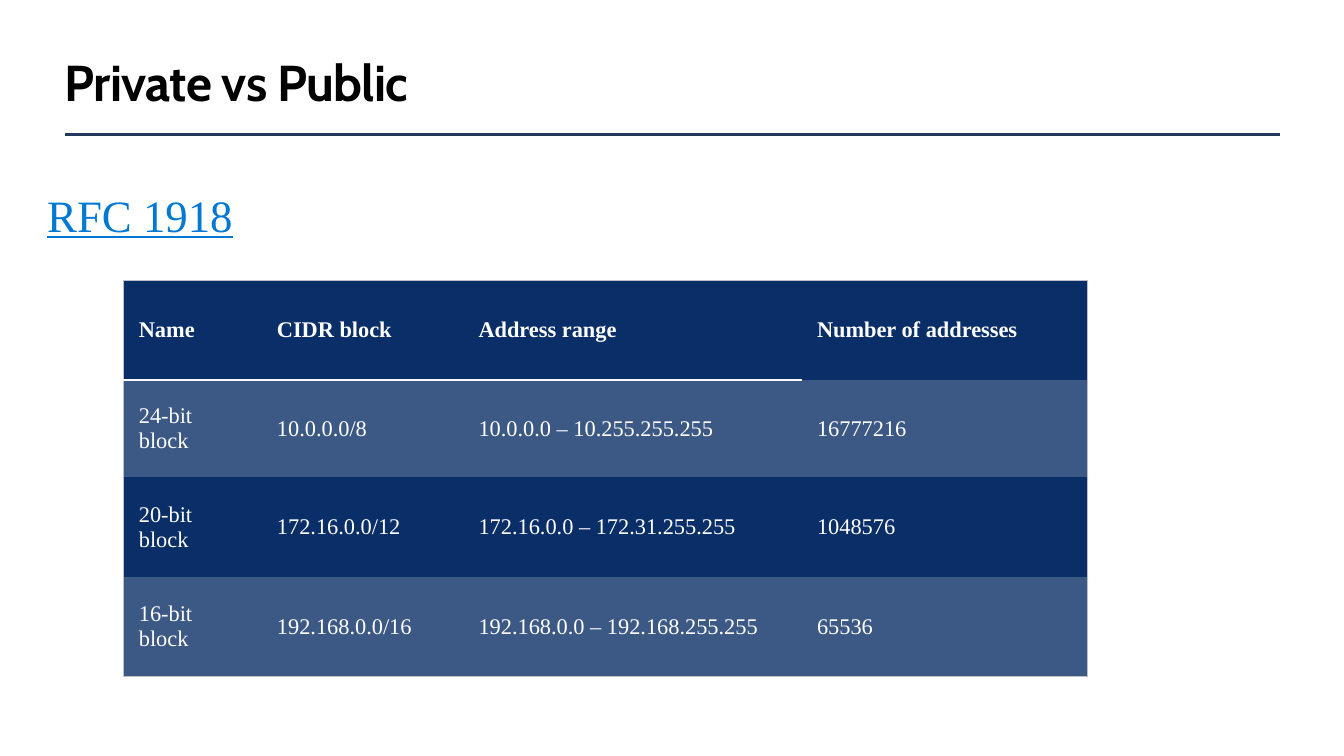
from lxml import etree
from pptx import Presentation
from pptx.dml.color import RGBColor
from pptx.enum.shapes import MSO_CONNECTOR
from pptx.enum.text import MSO_ANCHOR
from pptx.oxml.ns import qn
from pptx.util import Cm, Pt

STRAIGHT = MSO_CONNECTOR.STRAIGHT
TOP, MIDDLE = MSO_ANCHOR.TOP, MSO_ANCHOR.MIDDLE

BLACK = RGBColor(0x00, 0x00, 0x00)
WHITE = RGBColor(0xFF, 0xFF, 0xFF)
RULE_NAVY = RGBColor(0x24, 0x3A, 0x5E)
LINK_BLUE = RGBColor(0x00, 0x78, 0xD4)
TABLE_NAVY = RGBColor(0x0A, 0x2E, 0x68)
BAND_BLUE = RGBColor(0x3C, 0x59, 0x86)
EDGE_GREY = RGBColor(0xBE, 0xBF, 0xC5)
HEADER_LINE = RGBColor(0xF9, 0xF9, 0xF9)

SERIF = "Times New Roman"
PLAIN_TABLE_STYLE = "{2D5ABB26-0587-4C30-8999-92F81FD0307C}"

COLUMN_WIDTHS = [3.48, 5.08, 8.53, 7.19]
ROW_HEIGHTS = [2.51, 2.46, 2.51, 2.51]
ADDRESS_BLOCKS = [
    ["Name", "CIDR block", "Address range", "Number of addresses"],
    ["24-bit block", "10.0.0.0/8", "10.0.0.0 – 10.255.255.255", "16777216"],
    ["20-bit block", "172.16.0.0/12", "172.16.0.0 – 172.31.255.255", "1048576"],
    ["16-bit block", "192.168.0.0/16", "192.168.0.0 – 192.168.255.255", "65536"],
]


def write_text(frame, text, font=SERIF, size=16, color=WHITE, bold=False,
               underline=False, spacing=None, anchor=MIDDLE):
    """Fill a text frame with one formatted span; spacing is in points."""
    frame.word_wrap = True
    frame.vertical_anchor = anchor
    span = frame.paragraphs[0].add_run()
    span.text = text
    span.font.name = font
    span.font.size = Pt(size)
    span.font.color.rgb = color
    span.font.bold = bold
    span.font.underline = underline
    if spacing is not None:
        span.font._element.set("spc", str(round(spacing * 100)))


def add_text(page, text, left, top, width, height, margins=None, **text_format):
    box = page.shapes.add_textbox(Cm(left), Cm(top), Cm(width), Cm(height))
    frame = box.text_frame
    if margins is not None:
        frame.margin_left = frame.margin_right = Cm(margins)
        frame.margin_top = frame.margin_bottom = Cm(margins)
    write_text(frame, text, **text_format)


def add_rule(page, left, right, y, color, width):
    rule = page.shapes.add_connector(STRAIGHT, Cm(left), Cm(y), Cm(right), Cm(y))
    rule.line.color.rgb = color
    rule.line.width = Pt(width)
    etree.SubElement(rule._element.spPr, qn("a:effectLst"))


def add_border(cell, side, color, width):
    """Draw one cell side: L, R, T or B, called in that order before the fill."""
    properties = cell._tc.get_or_add_tcPr()
    line = etree.SubElement(properties, qn(f"a:ln{side}"), w=str(Pt(width)))
    fill = etree.SubElement(line, qn("a:solidFill"))
    etree.SubElement(fill, qn("a:srgbClr"), val=str(color))


def add_cell_borders(cell, row, column, last_row, last_column):
    """Grey outer frame, with a light line under all headers but the last."""
    if column == 0:
        add_border(cell, "L", EDGE_GREY, 0.75)
    if column == last_column:
        add_border(cell, "R", EDGE_GREY, 0.75)
    if row == 0:
        add_border(cell, "T", EDGE_GREY, 0.75)
    if row == 0 and column < last_column:
        add_border(cell, "B", HEADER_LINE, 1.35)
    if row == last_row:
        add_border(cell, "B", EDGE_GREY, 0.75)


def add_address_table(page, left, top):
    frame = page.shapes.add_table(
        len(ROW_HEIGHTS), len(COLUMN_WIDTHS), Cm(left), Cm(top),
        Cm(sum(COLUMN_WIDTHS)), Cm(sum(ROW_HEIGHTS)))
    table = frame.table
    table._tbl.tblPr.find(qn("a:tableStyleId")).text = PLAIN_TABLE_STYLE
    for column, width in zip(table.columns, COLUMN_WIDTHS):
        column.width = Cm(width)
    for row, height in zip(table.rows, ROW_HEIGHTS):
        row.height = Cm(height)
    for r, texts in enumerate(ADDRESS_BLOCKS):
        for c, text in enumerate(texts):
            cell = table.cell(r, c)
            add_cell_borders(cell, r, c, len(ROW_HEIGHTS) - 1, len(texts) - 1)
            cell.fill.solid()
            cell.fill.fore_color.rgb = BAND_BLUE if r % 2 else TABLE_NAVY
            cell.margin_left = cell.margin_right = Cm(0.38)
            cell.margin_top = cell.margin_bottom = Cm(0.38)
            cell.vertical_anchor = MIDDLE
            write_text(cell.text_frame, text, bold=r == 0)


def main():
    deck = Presentation()
    deck.slide_width, deck.slide_height = Cm(33.87), Cm(19.05)
    page = deck.slides.add_slide(deck.slide_layouts[6])
    add_rule(page, 1.63, 32.26, 3.38, RULE_NAVY, 2)
    add_text(page, "Private vs Public", 1.63, 1.27, 30.61, 1.55, margins=0,
             font="Cabin", size=36, color=BLACK, bold=True, spacing=-0.5)
    add_text(page, "RFC 1918", 0.94, 4.6, 14.83, 3, size=32,
             color=LINK_BLUE, underline=True, anchor=TOP)
    add_address_table(page, 3.12, 7.06)
    deck.save("out.pptx")


if __name__ == "__main__":
    main()
